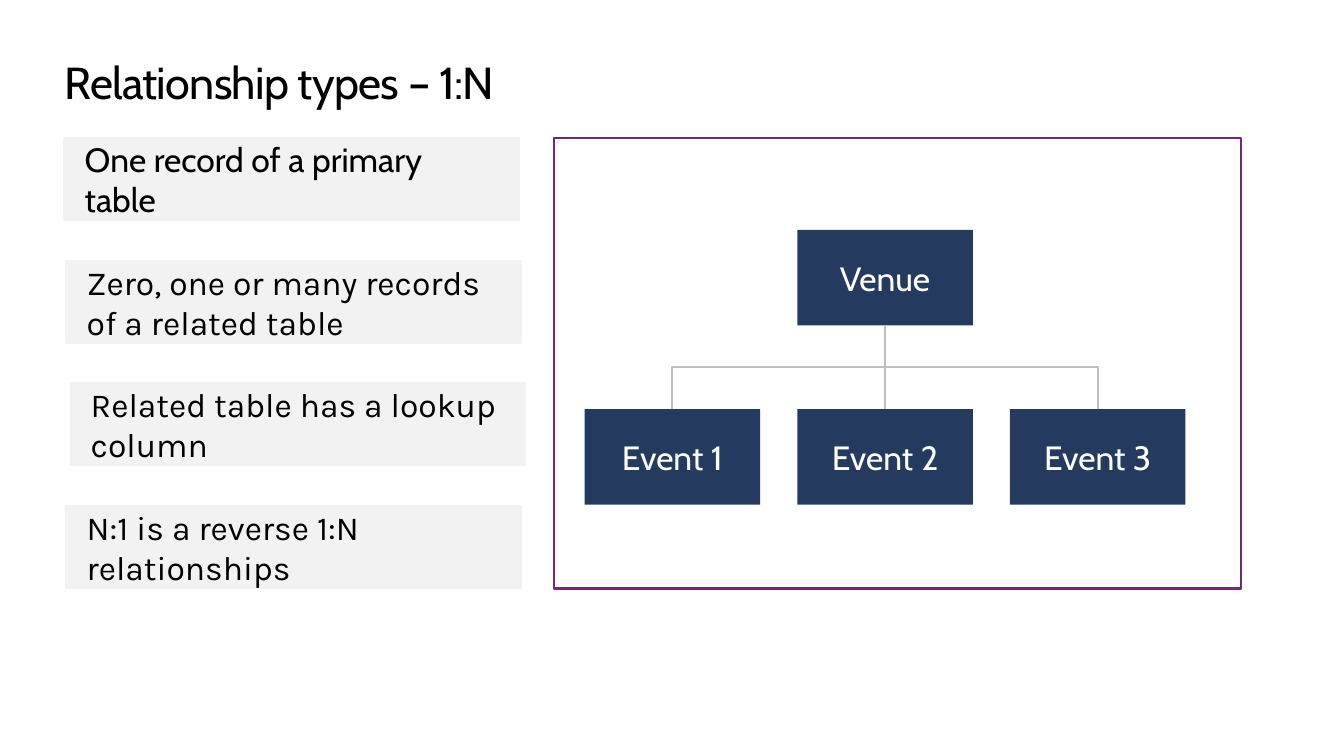
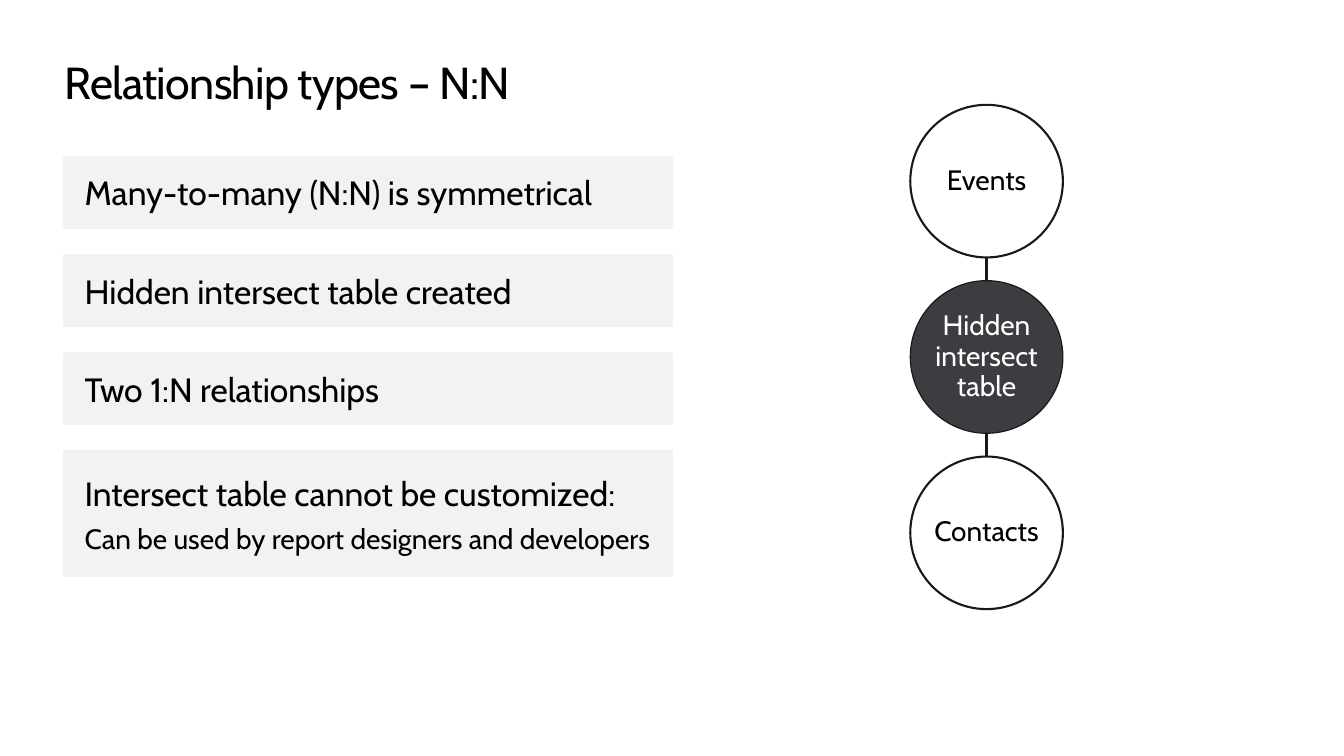
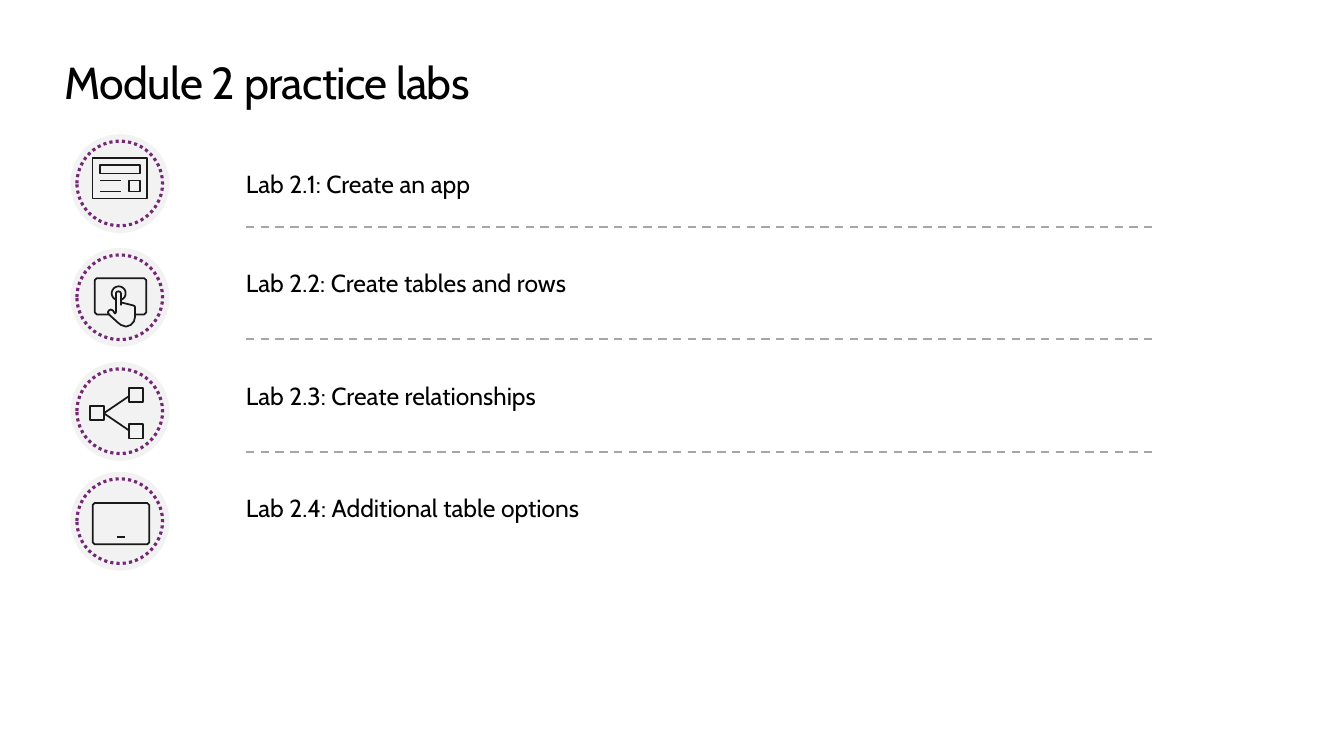
import math
from pptx import Presentation
from pptx.dml.color import RGBColor
from pptx.enum.dml import MSO_LINE
from pptx.enum.shapes import MSO_CONNECTOR, MSO_SHAPE
from pptx.enum.text import MSO_ANCHOR, PP_ALIGN
from pptx.oxml.ns import qn
from pptx.util import Pt

RECTANGLE, OVAL = MSO_SHAPE.RECTANGLE, MSO_SHAPE.OVAL
STRAIGHT, ELBOW = MSO_CONNECTOR.STRAIGHT, MSO_CONNECTOR.ELBOW
DASH, DOTS = MSO_LINE.DASH, MSO_LINE.ROUND_DOT
TOP, MIDDLE = MSO_ANCHOR.TOP, MSO_ANCHOR.MIDDLE
LEFT, CENTER = PP_ALIGN.LEFT, PP_ALIGN.CENTER

BLACK = RGBColor(0x00, 0x00, 0x00)
WHITE = RGBColor(0xFF, 0xFF, 0xFF)
PALE = RGBColor(0xF2, 0xF2, 0xF2)
NAVY = RGBColor(0x24, 0x3A, 0x5E)
PURPLE = RGBColor(0x74, 0x27, 0x74)
INK = RGBColor(0x19, 0x19, 0x19)
CHARCOAL = RGBColor(0x3C, 0x3C, 0x41)
SILVER = RGBColor(0xBF, 0xBF, 0xBF)
GRAY = RGBColor(0xA6, 0xA6, 0xA6)

HEADING_FONT, BODY_FONT = "Cabin", "Karla"
BAR_INSETS = (14.4, 11.5, 14.4, 11.5)
MARGIN = 46.1

ONE_TO_MANY_TITLE = "Relationship types – 1:N"
ONE_TO_MANY_BARS = [
    ("One record of a primary table", HEADING_FONT, 46.1),
    ("Zero, one or many records of a related table", BODY_FONT, 47.5),
    ("Related table has a lookup column", BODY_FONT, 50.4),
    ("N:1 is a reverse 1:N relationships", BODY_FONT, 47.5),
]
PARENT = "Venue"
CHILDREN = ["Event 1", "Event 2", "Event 3"]

MANY_TO_MANY_TITLE = "Relationship types – N:N"
MANY_TO_MANY_BARS = [
    [("Many-to-many (N:N) is symmetrical", 24)],
    [("Hidden intersect table created", 24)],
    [("Two 1:N relationships", 24)],
    [("Intersect table cannot be customized:", 24),
     ("Can be used by report designers and developers", 20)],
]
CIRCLES = [
    ("Events", WHITE, BLACK, 1.5),
    ("Hidden\nintersect\ntable", CHARCOAL, WHITE, 0.85),
    ("Contacts", WHITE, BLACK, 1.5),
]


def box(left, top, right, bottom, corner=0):
    if not corner:
        return [(left, top), (right, top), (right, bottom), (left, bottom), (left, top)]
    return [(left + corner, top), (right - corner, top), (right, top + corner),
            (right, bottom - corner), (right - corner, bottom), (left + corner, bottom),
            (left, bottom - corner), (left, top + corner), (left + corner, top)]


def arc(x, y, radius, start, end, step):
    angles = [math.radians(angle) for angle in range(start, end, step)]
    return [(x + radius * math.cos(a), y + radius * math.sin(a)) for a in angles]


APP_ICON = [
    box(15.8, 17.3, 54.7, 46.1), box(20.9, 22.3, 49.7, 28.1), box(41.8, 33.1, 49.7, 41),
    [(20.9, 33.1), (36, 33.1)], [(20.9, 41), (36, 41)],
]
TOUCH_ICON = [
    [(46.1, 47.5), (52.6, 47.5), (54, 46.1), (54, 23), (52.6, 21.6), (18.7, 21.6),
     (17.3, 23), (17.3, 46.1), (18.7, 47.5), (28.1, 47.5)],
    [(36, 41), (36, 32.4), (35.5, 31.4), (34.2, 31), (32.9, 31.4), (32.4, 32.4),
     (32.4, 46.1), (31.7, 46.8), (30.2, 44.6), (28.8, 44), (27.4, 44.6), (26.7, 46),
     (27.4, 47.5), (33.8, 53.3), (36, 55), (39.6, 56.2), (43, 55), (45.3, 52.4),
     (46.1, 49), (46.1, 42.5), (45.8, 41.5), (44.6, 41), (36, 38.9)],
    arc(34.4, 32.4, 5, 70, -260, -20),
]
SHARE_ICON = [
    box(41.8, 18.7, 51.8, 28.8), box(41.8, 44.6, 51.8, 54.7), box(13.7, 31.7, 23.8, 41.8),
    [(41.8, 24.5), (23.8, 36.7), (41.8, 49)],
]
TABLET_ICON = [box(15.8, 22.3, 56.2, 51.8, 1.4), [(33.1, 46.8), (38.9, 46.8)]]

LABS_TITLE = "Module 2 practice labs"
LABS = [
    ("Lab 2.1: Create an app", 131, 95.8, APP_ICON),
    ("Lab 2.2: Create tables and rows", 202, 177.1, TOUCH_ICON),
    ("Lab 2.3: Create relationships", 282.5, 258.5, SHARE_ICON),
    ("Lab 2.4: Additional table options", 362.5, 337, TABLET_ICON),
]


def apply(target, formats):
    for name, value in formats.items():
        setattr(target, name, value)


def paint(shape, fill=None, line=None, weight=1.5, dash=None):
    shape.shadow.inherit = False
    if fill is None:
        shape.fill.background()
    else:
        shape.fill.solid()
        shape.fill.fore_color.rgb = fill
    if line is None:
        shape.line.fill.background()
    else:
        shape.line.color.rgb = line
        apply(shape.line, {"width": Pt(weight), "dash_style": dash})


def add_shape(slide, kind, left, top, width, height, **style):
    shape = slide.shapes.add_shape(kind, Pt(left), Pt(top), Pt(width), Pt(height))
    paint(shape, **style)
    return shape


def write(shape, lines, font=HEADING_FONT, color=BLACK, insets=(0, 0, 0, 0),
          anchor=MIDDLE, align=LEFT, wrap=True, **spacing):
    frame = shape.text_frame
    sides = ("margin_left", "margin_top", "margin_right", "margin_bottom")
    apply(frame, {"word_wrap": wrap, "vertical_anchor": anchor})
    apply(frame, {side: Pt(inset) for side, inset in zip(sides, insets)})
    for index, (text, size) in enumerate(lines):
        paragraph = frame.add_paragraph() if index else frame.paragraphs[0]
        paragraph.text = text
        apply(paragraph, {"alignment": align, **spacing})
        for run in paragraph.runs:
            apply(run.font, {"name": font, "size": Pt(size)})
            run.font.color.rgb = color


def add_text(slide, left, top, width, height, lines, **formats):
    shape = slide.shapes.add_textbox(Pt(left), Pt(top), Pt(width), Pt(height))
    write(shape, lines, **formats)
    return shape


def add_line(slide, start, end, color, weight=1.5, dash=None, kind=STRAIGHT, turn=0):
    line = slide.shapes.add_connector(kind, *[Pt(value) for value in (*start, *end)])
    line.line.color.rgb = color
    apply(line.line, {"width": Pt(weight), "dash_style": dash})
    properties = line.element.spPr
    properties.append(properties.makeelement(qn("a:effectLst"), {}))
    if turn:
        properties.find(qn("a:xfrm")).set("rot", str(turn * 60000))


def add_drop(slide, start, end, color):
    (x1, y1), (x2, y2) = start, end
    if x1 == x2:
        add_line(slide, start, end, color)
        return
    middle_x, middle_y = (x1 + x2) / 2, (y1 + y2) / 2
    half_width, half_height = (y2 - y1) / 2, abs(x2 - x1) / 2
    side = 1 if x2 > x1 else -1
    add_line(slide,
             (middle_x + side * half_width, middle_y - half_height),
             (middle_x - side * half_width, middle_y + half_height),
             color, kind=ELBOW, turn=270 if side > 0 else 90)


def add_icon(slide, left, top, strokes):
    placed = [[(Pt(left + x), Pt(top + y)) for x, y in stroke] for stroke in strokes]
    builder = slide.shapes.build_freeform(*placed[0][0])
    for index, stroke in enumerate(placed):
        if index:
            builder.move_to(*stroke[0])
        builder.add_line_segments(stroke[1:], close=False)
    paint(builder.convert_to_shape(), line=INK, weight=1.25)


def add_slide(presentation, title):
    slide = presentation.slides.add_slide(presentation.slide_layouts[6])
    shape = add_text(slide, MARGIN, 36, 867.6, 38.9, [(title, 32)],
                     insets=(0, 7.2, 11.5, 7.2), anchor=TOP, line_spacing=0.9)
    for properties in shape.element.iter(qn("a:rPr")):
        properties.set("spc", "-50")
    return slide


def add_bar(slide, left, top, width, height, lines, before, after, font=HEADING_FONT):
    bar = add_shape(slide, RECTANGLE, left, top, width, height, fill=PALE, line=PALE)
    write(bar, lines, font=font, insets=BAR_INSETS,
          space_before=Pt(before), space_after=Pt(after))


def add_node(slide, center, top, text):
    width, height = 125.4, 68.2
    node = add_shape(slide, RECTANGLE, center - width / 2, top, width, height, fill=NAVY)
    write(node, [(text, 24)], color=WHITE, insets=(2.2,) * 4, align=CENTER)
    return top + height


def build_one_to_many(presentation):
    slide = add_slide(presentation, ONE_TO_MANY_TITLE)
    for index, (text, font, left) in enumerate(ONE_TO_MANY_BARS):
        add_bar(slide, left, 98.6 + 87.6 * index, 324.7, 58.6, [(text, 24)], 6, 18, font)
    center, child_top = 632.2, 292.3
    parent_bottom = add_node(slide, center, 164.2, PARENT)
    for index, text in enumerate(CHILDREN):
        child_center = center + 151.9 * (index - 1)
        add_drop(slide, (center, parent_bottom), (child_center, child_top), SILVER)
        add_node(slide, child_center, child_top, text)
    add_shape(slide, RECTANGLE, 396, 98.6, 490.3, 321.8, line=PURPLE)


def build_many_to_many(presentation):
    slide = add_slide(presentation, MANY_TO_MANY_TITLE)
    for index, lines in enumerate(MANY_TO_MANY_BARS):
        height, before, after = (50.6, 9, 12) if len(lines) == 1 else (89.3, 0, 6)
        add_bar(slide, MARGIN, 112.2 + 70.1 * index, 434.2, height, lines, before, after)
    left, first_top, diameter, pitch = 650.2, 74.9, 109, 125.6
    center = left + diameter / 2
    for index, (text, fill, color, weight) in enumerate(CIRCLES):
        top = first_top + pitch * index
        circle = add_shape(slide, OVAL, left, top, diameter, diameter,
                           fill=fill, line=INK, weight=weight)
        write(circle, [(text, 20)], color=color, align=CENTER, wrap=False, line_spacing=0.9)
        if index:
            add_line(slide, (center, top - pitch + diameter), (center, top), INK, 2.25)


def build_labs(presentation):
    slide = add_slide(presentation, LABS_TITLE)
    left, badge_left = 175.7, 50.4
    for index, (text, middle, badge_top, icon) in enumerate(LABS):
        add_text(slide, left, middle - 27.7, 653.8, 55.4, [(text, 17.6)])
        if index < len(LABS) - 1:
            y = 162 + 80.4 * index
            add_line(slide, (left, y), (827.3, y), GRAY, dash=DASH)
        add_shape(slide, OVAL, badge_left, badge_top, 70.6, 70.6, fill=PALE)
        add_shape(slide, OVAL, badge_left + 4.5, badge_top + 5, 61.2, 60.5,
                  line=PURPLE, weight=2.25, dash=DOTS)
        add_icon(slide, badge_left, badge_top, icon)


def main():
    presentation = Presentation()
    apply(presentation, {"slide_width": Pt(960), "slide_height": Pt(540)})
    for build in (build_one_to_many, build_many_to_many, build_labs):
        build(presentation)
    presentation.save("out.pptx")


if __name__ == "__main__":
    main()
